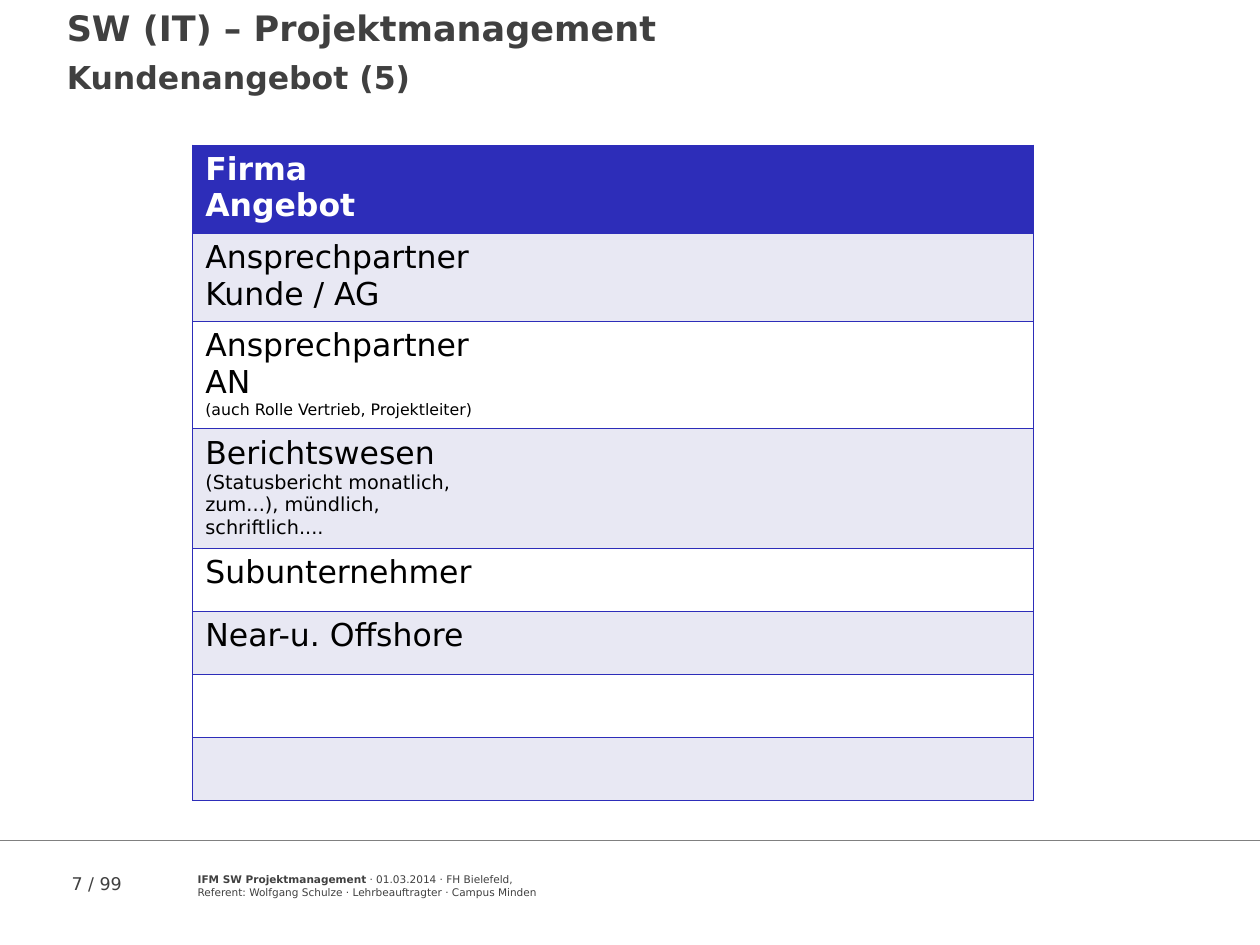
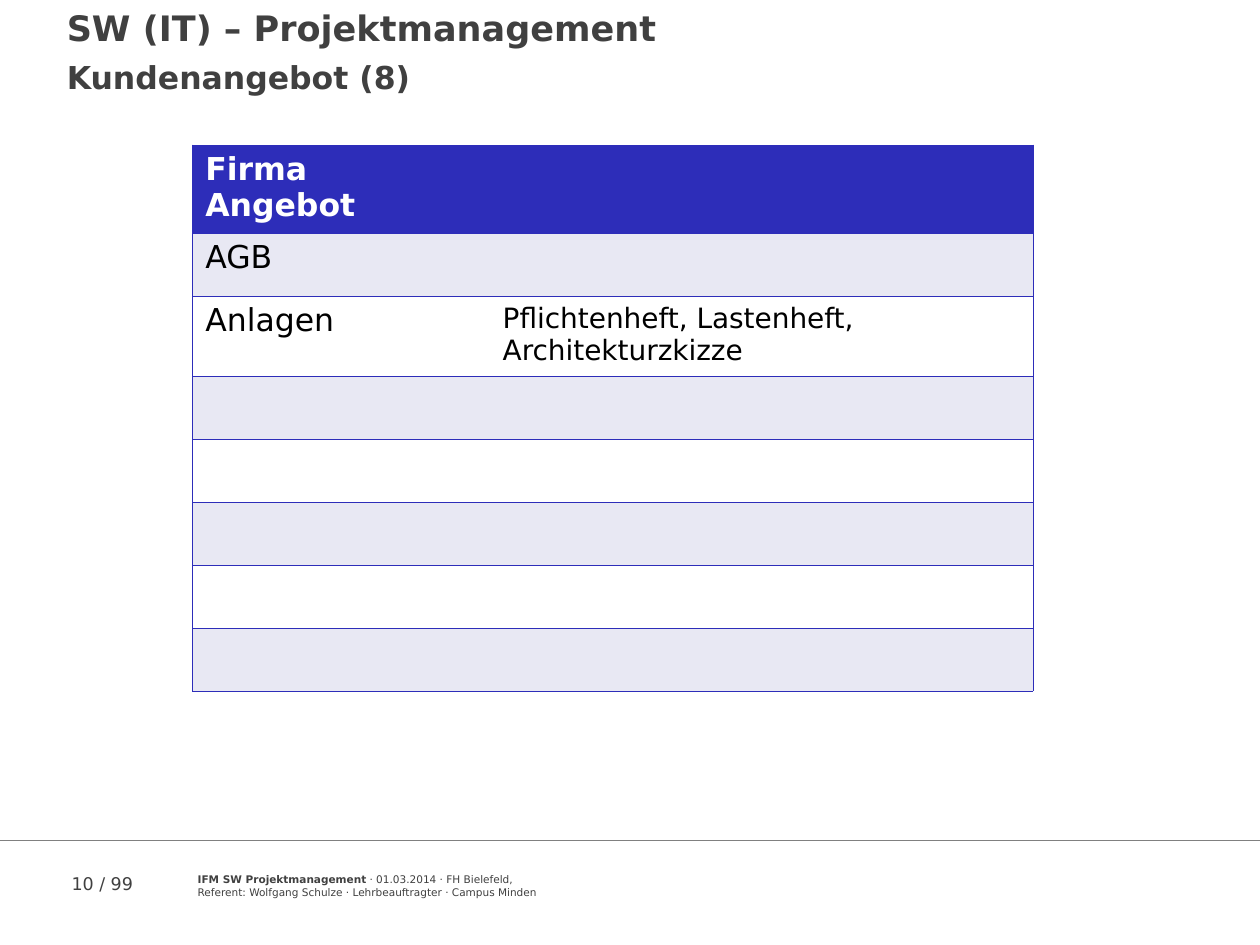
from dataclasses import dataclass
from lxml import etree
from pptx import Presentation
from pptx import util as u
from pptx.dml.color import RGBColor
from pptx.enum import shapes, text
from pptx.oxml.ns import qn


@dataclass(frozen=True)
class Theme:
    font: str = "DejaVu Sans"
    ink: str = "404040"
    rule: str = "808080"
    accent: str = "2D2DB9"
    band: str = "E8E8F3"
    white: str = "FFFFFF"
    black: str = "000000"
    title: float = 20
    body: float = 18
    entry: float = 16
    detail: float = 11
    hint: float = 9
    page: float = 10
    footer: float = 6


T = Theme()
NO_STYLE = "{2D5ABB26-0587-4C30-8999-92F81FD0307C}"


def write(tf, lines, color, bold=False):
    tf.word_wrap = True
    for i, (line, size) in enumerate(lines):
        p = tf.paragraphs[0] if i == 0 else tf.add_paragraph()
        p.alignment = text.PP_ALIGN.LEFT
        p.font.name, p.font.size, p.font.bold = T.font, u.Pt(size), bold
        p.font.color.rgb = RGBColor.from_string(color)
        p.add_run().text = line


def border(cell, sides):
    tcPr = cell._tc.get_or_add_tcPr()
    for side in sides:
        ln = etree.SubElement(tcPr, qn(f"a:ln{side}"), w=str(u.Pt(0.45)))
        fill = etree.SubElement(ln, qn("a:solidFill"))
        etree.SubElement(fill, qn("a:srgbClr"), val=T.accent)


header = (0.7, [("Firma", T.body), ("Angebot", T.body)], [])
empty = (0.5, [], [])
offers = [
    (7, "Kundenangebot (5)", [
        header,
        (0.7, [("Ansprechpartner", T.body), ("Kunde / AG", T.body)], []),
        (0.85, [("Ansprechpartner", T.body), ("AN", T.body),
                ("(auch Rolle Vertrieb, Projektleiter)", T.hint)], []),
        (0.95, [("Berichtswesen", T.body),
                ("(Statusbericht monatlich, zum...), mündlich, schriftlich....", T.detail)], []),
        (0.5, [("Subunternehmer", T.body)], []),
        (0.5, [("Near-u. Offshore", T.body)], []),
        *[empty] * 2,
    ]),
    (10, "Kundenangebot (8)", [
        header,
        (0.5, [("AGB", T.body)], []),
        (0.63, [("Anlagen", T.body)],
         [("Pflichtenheft, Lastenheft, Architekturzkizze", T.entry)]),
        *[empty] * 5,
    ]),
]

prs = Presentation()
prs.slide_width, prs.slide_height = u.Inches(10), u.Inches(7.5)

for page, subtitle, rows in offers:
    s = prs.slides.add_slide(prs.slide_layouts[5])

    sp = s.shapes.title
    sp.left, sp.top, sp.width, sp.height = map(u.Inches, (0.43, 0, 7.88, 0.81))
    tf = sp.text_frame
    tf.auto_size = text.MSO_AUTO_SIZE.NONE
    tf.vertical_anchor = text.MSO_ANCHOR.TOP
    write(tf, [("SW (IT) – Projektmanagement", T.title), (subtitle, T.body)], T.ink, True)
    tf.paragraphs[1].space_before = u.Pt(5.6)

    sp = s.shapes.add_textbox(*map(u.Inches, (0.47, 6.88, 1, 0.45)))
    write(sp.text_frame, [(f"{page} / 99", T.page)], T.ink)

    sp = s.shapes.add_textbox(*map(u.Inches, (1.47, 6.88, 6.22, 0.3)))
    write(sp.text_frame, [
        ("IFM SW Projektmanagement", T.footer),
        ("Referent: Wolfgang Schulze · Lehrbeauftragter · Campus Minden", T.footer),
    ], T.ink)
    p = sp.text_frame.paragraphs[0]
    p.runs[0].font.bold = True
    p.add_run().text = " · 01.03.2014 · FH Bielefeld,"

    line = s.shapes.add_connector(
        shapes.MSO_CONNECTOR.STRAIGHT, *map(u.Inches, (0, 6.67, 10, 6.67)))
    line.line.color.rgb = RGBColor.from_string(T.rule)
    line.line.width = u.Pt(0.75)
    etree.SubElement(line._element.spPr, qn("a:effectLst"))

    height = sum(row[0] for row in rows)
    frame = s.shapes.add_table(
        len(rows), 2, *map(u.Inches, (1.53, 1.15, 6.67, height)))
    table = frame.table
    table._tbl.tblPr.find(qn("a:tableStyleId")).text = NO_STYLE
    table.first_row = table.horz_banding = False
    for column, width in zip(table.columns, (2.36, 4.31)):
        column.width = u.Inches(width)

    for i, (row_height, *contents) in enumerate(rows):
        table.rows[i].height = u.Inches(row_height)
        fill = T.accent if i == 0 else T.band if i % 2 else T.white
        color = T.white if i == 0 else T.black
        for cell, lines, sides in zip(table.rows[i].cells, contents, ("LTB", "RTB")):
            border(cell, sides)
            cell.fill.solid()
            cell.fill.fore_color.rgb = RGBColor.from_string(fill)
            write(cell.text_frame, lines, color, i == 0)

prs.save("out.pptx")
